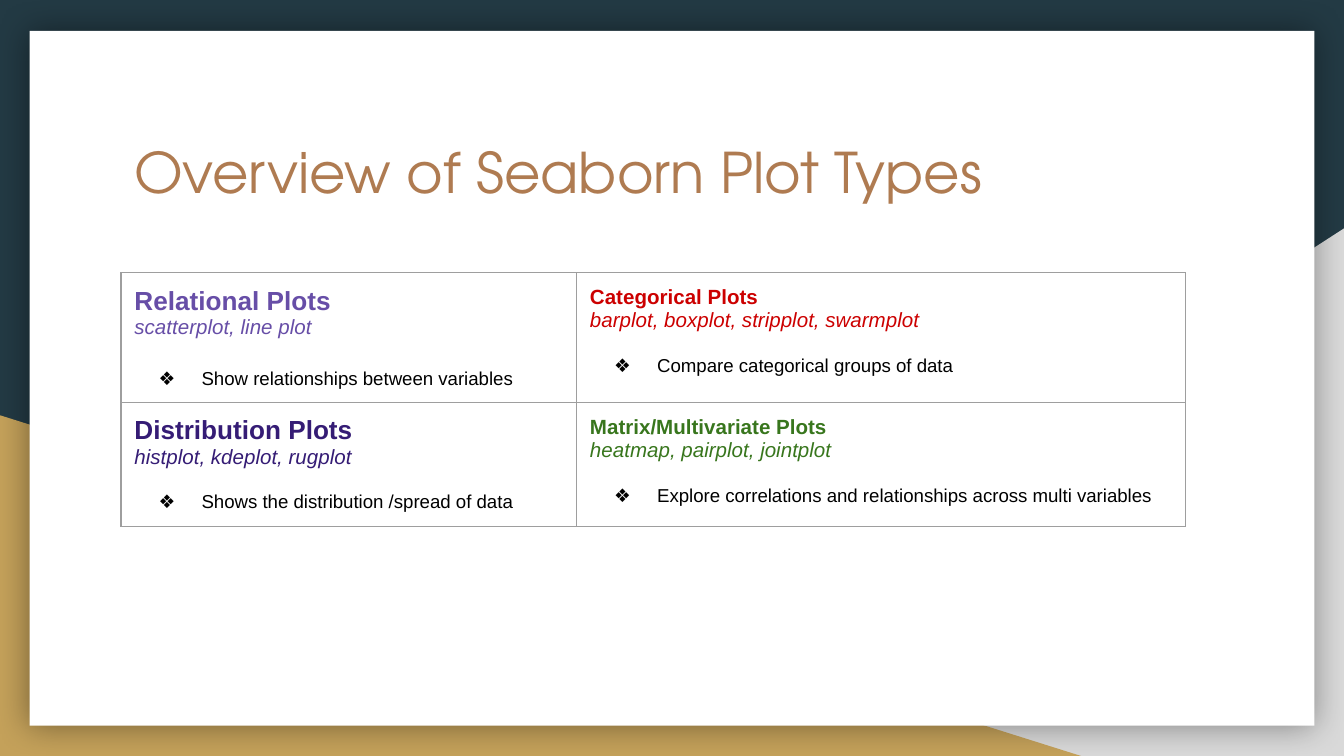
"""Build the slide that gives an overview of Seaborn plot types."""
import pptx
import pptx.dml.color
import pptx.enum.shapes
import pptx.enum.text
import pptx.oxml
import pptx.oxml.ns
import pptx.util
from lxml import etree

Inches = pptx.util.Inches
Pt = pptx.util.Pt
RGBColor = pptx.dml.color.RGBColor
MSO_SHAPE = pptx.enum.shapes.MSO_SHAPE
qn = pptx.oxml.ns.qn

NAVY = RGBColor(0x23, 0x3A, 0x44)
GREY = RGBColor(0xD9, 0xD9, 0xD9)
GOLD = RGBColor(0xC4, 0xA1, 0x5A)
WHITE = RGBColor(0xFF, 0xFF, 0xFF)
BLACK = RGBColor(0x00, 0x00, 0x00)
BROWN = RGBColor(0xAF, 0x7B, 0x51)
PURPLE = RGBColor(0x67, 0x4E, 0xA7)
RED = RGBColor(0xCC, 0x00, 0x00)
INDIGO = RGBColor(0x35, 0x1C, 0x75)
GREEN = RGBColor(0x38, 0x76, 0x1D)
BORDER = RGBColor(0x9E, 0x9E, 0x9E)

TITLE = "Overview of Seaborn Plot Types"
TITLE_FONT = "TeX Gyre Adventor"
BODY_FONT = "Arial"
SLIDE_WIDTH = Inches(10)
SLIDE_HEIGHT = SLIDE_WIDTH * 9 // 16
INSET = Inches(0.1)
CELL_BOTTOM_INSET = Inches(0.06)
COLUMN_WIDTHS = (3.39, 4.53)
ROW_HEIGHTS = (0.96, 0.92)

# heading, heading size, functions, gap before the bullet, purpose, colour
PLOT_TYPES = [
    [
        ("Relational Plots", 14, "scatterplot, line plot", 16,
         "Show relationships between variables", PURPLE),
        ("Categorical Plots", 11, "barplot, boxplot, stripplot, swarmplot", 12.6,
         "Compare categorical groups of data", RED),
    ],
    [
        ("Distribution Plots", 14, "histplot, kdeplot, rugplot", 12.6,
         "Shows the distribution /spread of data", INDIGO),
        ("Matrix/Multivariate Plots", 11, "heatmap, pairplot, jointplot", 12.6,
         "Explore correlations and relationships across multi variables", GREEN),
    ],
]


def add_panel(slide, kind, box, color):
    shape = slide.shapes.add_shape(kind, *map(Inches, box))
    shape.shadow.inherit = False
    shape.fill.solid()
    shape.fill.fore_color.rgb = color
    shape.line.fill.background()
    return shape


def add_glow(shape):
    effects = shape._element.spPr.find(qn("a:effectLst"))
    shadow = etree.SubElement(effects, qn("a:outerShdw"), blurRad=str(Pt(18)),
                              dist="0", dir="0", algn="ctr", rotWithShape="0")
    color = etree.SubElement(shadow, qn("a:srgbClr"), val=str(BLACK))
    etree.SubElement(color, qn("a:alpha"), val="40000")


def add_run(paragraph, text, font, size, color, bold=False, italic=False):
    run = paragraph.add_run()
    run.text = text
    run.font.name = font
    run.font.size = Pt(size)
    run.font.color.rgb = color
    run.font.bold = bold
    run.font.italic = italic


def add_bullet(paragraph):
    properties = paragraph._p.get_or_add_pPr()
    properties.set("marL", str(Inches(0.5)))
    properties.set("indent", str(Inches(-0.32)))
    color = etree.SubElement(properties, qn("a:buClr"))
    etree.SubElement(color, qn("a:srgbClr"), val=str(BLACK))
    etree.SubElement(properties, qn("a:buFont"), typeface=BODY_FONT)
    etree.SubElement(properties, qn("a:buChar"), char="❖")


def set_insets(target, bottom=INSET):
    target.margin_left = target.margin_right = target.margin_top = INSET
    target.margin_bottom = bottom


def set_borders(cell):
    properties = cell._tc.get_or_add_tcPr()
    for index, side in enumerate(("lnL", "lnR", "lnT", "lnB")):
        line = properties.makeelement(qn(f"a:{side}"), {"w": str(Pt(0.75))})
        fill = etree.SubElement(line, qn("a:solidFill"))
        etree.SubElement(fill, qn("a:srgbClr"), val=str(BORDER))
        properties.insert(index, line)


def fill_cell(cell, heading, heading_size, functions, gap, purpose, color):
    set_insets(cell, CELL_BOTTOM_INSET)
    cell.fill.background()
    set_borders(cell)
    frame = cell.text_frame
    add_run(frame.paragraphs[0], heading, BODY_FONT, heading_size, color, bold=True)
    add_run(frame.add_paragraph(), functions, BODY_FONT, 11, color, italic=True)
    paragraph = frame.add_paragraph()
    paragraph.space_before = Pt(gap)
    add_bullet(paragraph)
    add_run(paragraph, purpose, BODY_FONT, 10, BLACK)


def add_background(slide):
    slide.background.fill.solid()
    slide.background.fill.fore_color.rgb = NAVY
    corner = add_panel(slide, MSO_SHAPE.RIGHT_TRIANGLE, (3.92, 1.7, 6.08, 3.93), GREY)
    corner._element.spPr.xfrm.set("flipH", "1")
    add_panel(slide, MSO_SHAPE.RIGHT_TRIANGLE, (0, 3.09, 8.06, 2.54), GOLD)
    add_glow(add_panel(slide, MSO_SHAPE.RECTANGLE, (0.22, 0.23, 9.56, 5.17), WHITE))


def add_title(slide):
    frame = slide.shapes.add_textbox(*map(Inches, (0.9, 0.92, 8.21, 1.04))).text_frame
    frame.word_wrap = True
    frame.vertical_anchor = pptx.enum.text.MSO_ANCHOR.TOP
    set_insets(frame)
    add_run(frame.paragraphs[0], TITLE, TITLE_FONT, 30, BROWN)


def add_plot_table(slide):
    table = slide.shapes.add_table(
        len(ROW_HEIGHTS), len(COLUMN_WIDTHS), Inches(0.9), Inches(2.03),
        Inches(sum(COLUMN_WIDTHS)), Inches(sum(ROW_HEIGHTS))).table
    table.first_row = table.horz_banding = False
    for column, width in zip(table.columns, COLUMN_WIDTHS):
        column.width = Inches(width)
    for row, height, plot_types in zip(table.rows, ROW_HEIGHTS, PLOT_TYPES):
        row.height = Inches(height)
        for cell, plot_type in zip(row.cells, plot_types):
            fill_cell(cell, *plot_type)


def main():
    presentation = pptx.Presentation()
    presentation.slide_width = SLIDE_WIDTH
    presentation.slide_height = SLIDE_HEIGHT
    slide = presentation.slides.add_slide(presentation.slide_layouts[6])
    add_background(slide)
    add_title(slide)
    add_plot_table(slide)
    presentation.save("out.pptx")


if __name__ == "__main__":
    main()
